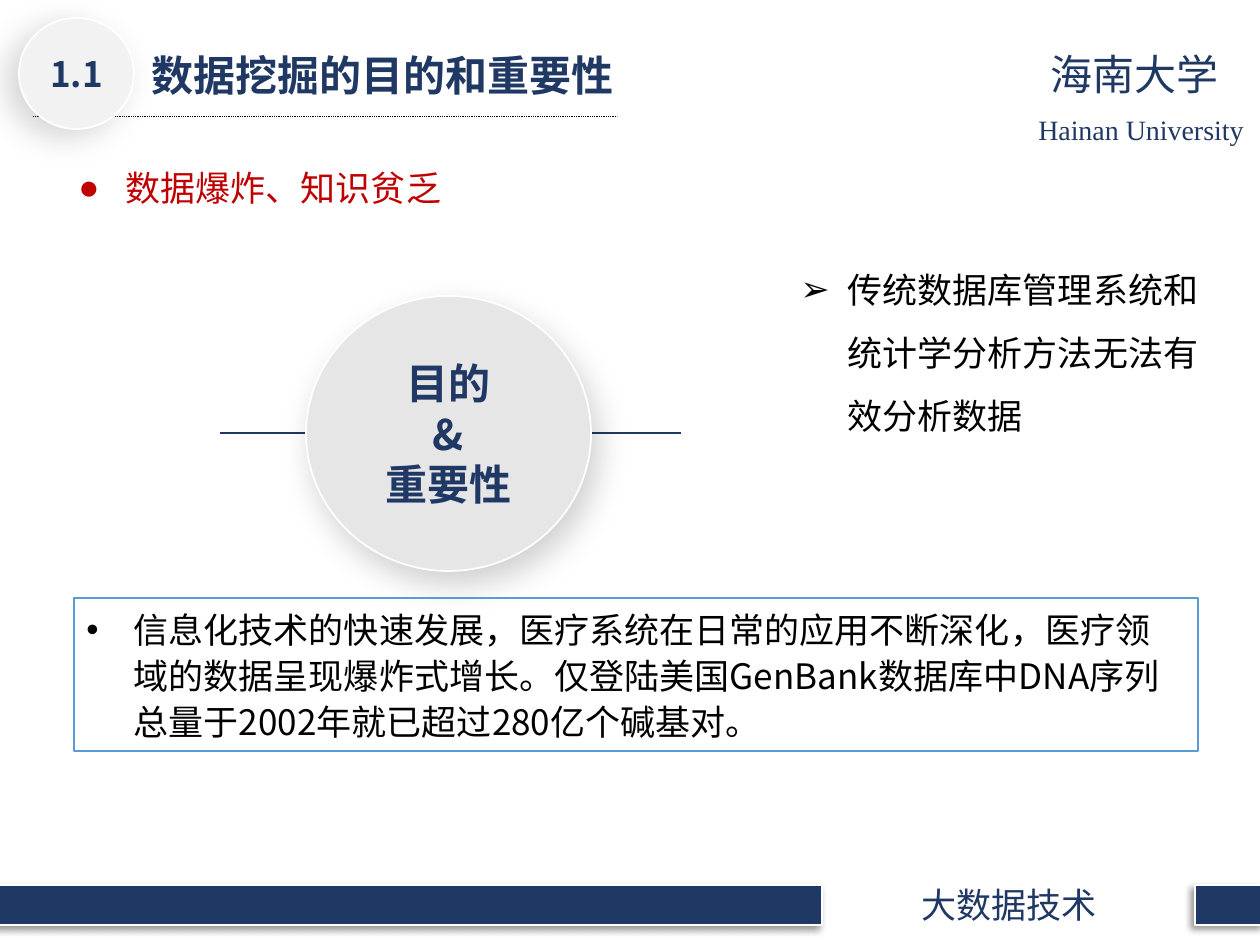
"""Build the slide on the purpose and importance of data mining."""
from lxml import etree
from pptx import Presentation, util as u
from pptx.dml.color import RGBColor
from pptx.enum import dml, shapes, text
from pptx.oxml import ns

PX = 914400 / 126
NAVY, RED, BLACK, WHITE = "203864", "C00000", "000000", "FFFFFF"
SANS, SERIF = "Noto Sans CJK SC", "Times New Roman"
MID, LEFT = text.PP_ALIGN.CENTER, text.PP_ALIGN.LEFT


def emu(*vals):
    return [round(v * PX) for v in vals]


def write(box, lines, size, hue=NAVY, bold=False, face=SANS, align=LEFT,
          gap=None, mark=None, anchor=text.MSO_ANCHOR.TOP):
    frame = box.text_frame
    frame.text = lines
    form = {"word_wrap": True, "auto_size": text.MSO_AUTO_SIZE.NONE,
            "vertical_anchor": anchor}
    for key, val in form.items():
        setattr(frame, key, val)
    for para in frame.paragraphs:
        para.alignment = align
        if gap:
            para.line_spacing = gap
        if mark:
            props = para._p.get_or_add_pPr()
            props.set("marL", "342900")
            props.set("indent", "-342900")
            etree.SubElement(props, ns.qn("a:buFont"), typeface="Arial")
            etree.SubElement(props, ns.qn("a:buChar"), char=mark)
        for run in para.runs:
            look = {"size": u.Pt(size), "bold": bold, "name": face}
            for key, val in look.items():
                setattr(run.font, key, val)
            run.font.color.rgb = RGBColor.from_string(hue)
            etree.SubElement(run._r.get_or_add_rPr(), ns.qn("a:ea"), typeface=face)


deck = Presentation()
deck.slide_width, deck.slide_height = emu(1260, 945)
slide = deck.slides.add_slide(deck.slide_layouts[5])

title = slide.shapes.title
title.left, title.top, title.width, title.height = emu(139, 43, 506, 63)
write(title, "数据挖掘的目的和重要性", 24, bold=True)

rules = [(33, 116, 617, BLACK, 0.5, dml.MSO_LINE.ROUND_DOT),
         (220, 433, 306, NAVY, 1.5, None),
         (591, 433, 681, NAVY, 1.5, None)]
for x, y, end, hue, wide, dash in rules:
    rule = slide.shapes.add_connector(
        shapes.MSO_CONNECTOR.STRAIGHT, *emu(x, y, end, y))
    rule.line.color.rgb = RGBColor.from_string(hue)
    rule.line.width = u.Pt(wide)
    if dash:
        rule.line.dash_style = dash
    etree.SubElement(rule._element.spPr, ns.qn("a:effectLst"))

RECT, OVAL = shapes.MSO_SHAPE.RECTANGLE, shapes.MSO_SHAPE.OVAL
solids = [(RECT, (-8, 885, 830, 40), NAVY, (40, 4, 3, 135), None, 0),
          (RECT, (1195, 885, 69, 40), NAVY, (40, 4, 3, 135), None, 0),
          (OVAL, (306, 296, 285, 275), "E7E6E6", (19, 19, 8, 65), "目的\n&\n重要性", 24),
          (OVAL, (19, 18, 115, 111), "F2F2F2", (17, 19, 8, 149), "1.1", 20)]
for kind, spot, hue, shade, words, size in solids:
    solid = slide.shapes.add_shape(kind, *emu(*spot))
    solid.fill.solid()
    solid.fill.fore_color.rgb = RGBColor.from_string(hue)
    solid.line.color.rgb = RGBColor.from_string(WHITE)
    solid.line.width = u.Pt(1)
    solid.shadow.inherit = False
    alpha, blur, dist, turn = shade
    cast = etree.SubElement(
        solid._element.spPr.find(ns.qn("a:effectLst")), ns.qn("a:outerShdw"),
        blurRad=str(blur * 12700), dist=str(dist * 12700),
        dir=str(turn * 60000), algn="ctr", rotWithShape="0")
    tint = etree.SubElement(cast, ns.qn("a:srgbClr"), val=BLACK)
    etree.SubElement(tint, ns.qn("a:alpha"), val=str(alpha * 1000))
    if words:
        write(solid, words, size, bold=True, align=MID,
              anchor=text.MSO_ANCHOR.MIDDLE)

notes = [
    ((66, 139, 955, 69), "数据爆炸、知识贫乏",
     dict(size=20, hue=RED, gap=1.5, mark="●")),
    ((788, 241, 425, 204), "传统数据库管理系统和统计学分析方法无法有效分析数据",
     dict(size=20, hue=BLACK, gap=1.5, mark="➢")),
    ((74, 598, 1124, 153),
     "信息化技术的快速发展，医疗系统在日常的应用不断深化，医疗领域的数据呈现爆炸式增长。"
     "仅登陆美国GenBank数据库中DNA序列总量于2002年就已超过280亿个碱基对。",
     dict(size=20, hue=BLACK, gap=1.1, mark="•")),
    ((805, 877, 408, 55), "大数据技术", dict(size=20, align=MID)),
    ((1032, 42, 205, 63), "海南大学", dict(size=24, align=MID)),
    ((993, 106, 296, 47), "Hainan University",
     dict(size=16, face=SERIF, align=MID)),
]
for spot, words, form in notes:
    note = slide.shapes.add_textbox(*emu(*spot))
    write(note, words, **form)
    if form.get("mark") == "•":
        note.line.color.rgb = RGBColor.from_string("5B9BD5")
        note.line.width = u.Pt(0.75)

deck.save("out.pptx")
